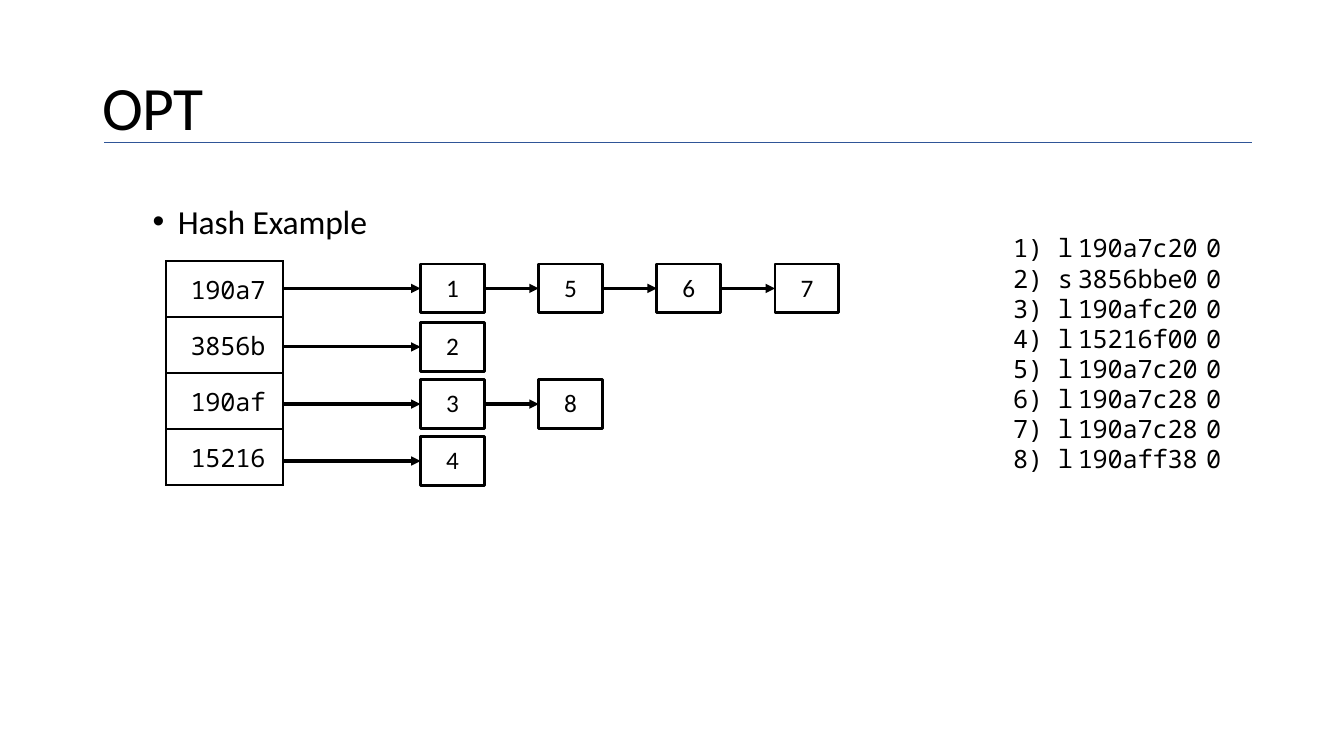
from dataclasses import dataclass
from typing import Any

from lxml.etree import SubElement as sub
from pptx import Presentation
from pptx.dml.color import RGBColor as Rgb
from pptx.enum.shapes import MSO_CONNECTOR as Link, MSO_SHAPE as Preset
from pptx.enum.text import MSO_ANCHOR as Anchor, PP_ALIGN as Align
from pptx.oxml.ns import qn
from pptx.util import Pt

COLORS = {"ink": "000000", "rule": "2F5597"}
SANS, MONO = "Calibri", "Noto Sans Mono"
NO_GRID_STYLE = "{2D5ABB26-0587-4C30-8999-92F81FD0307C}"

FRAME = {"margin_left": 0, "margin_right": 0, "margin_bottom": 0,
         "vertical_anchor": Anchor.TOP}
PLAIN_TABLE = {"first_row": False, "horz_banding": False}

NODE_LEFT, NODE_STEP = 300.4, 84.4
NODE_WIDTH, NODE_HEIGHT = 45.5, 34.8
BUCKET_LEFT, BUCKET_TOP, BUCKET_WIDTH, BUCKET_HEIGHT = 118.8, 186.4, 83.5, 40.05


@dataclass
class Bucket:
    key: str
    node_top: float
    nodes: tuple[int, ...]


@dataclass
class Access:
    kind: str
    address: str


BUCKETS = [
    Bucket("190a7", 188.6, (1, 5, 6, 7)),
    Bucket("3856b", 230.4, (2,)),
    Bucket("190af", 271.2, (3, 8)),
    Bucket("15216", 311.9, (4,)),
]
ACCESSES = [
    Access("l", "190a7c20"),
    Access("s", "3856bbe0"),
    Access("l", "190afc20"),
    Access("l", "15216f00"),
    Access("l", "190a7c20"),
    Access("l", "190a7c28"),
    Access("l", "190a7c28"),
    Access("l", "190aff38"),
]


def color(name: str) -> Rgb:
    return Rgb.from_string(COLORS[name])


def apply(target: Any, values: dict[str, Any]) -> None:
    for name, value in values.items():
        setattr(target, name, value)


def write(paragraph: Any, text: str, font: str, size: float,
          align: Align = Align.LEFT, indent: float = 0, spacing: float = -0.1) -> None:
    paragraph.alignment = align
    properties = paragraph._p.get_or_add_pPr()
    properties.set("marL", str(Pt(indent)))
    properties.set("indent", "0")
    run = paragraph.add_run()
    run.text = text
    apply(run.font, {"name": font, "size": Pt(size)})
    run.font.color.rgb = color("ink")
    run._r.get_or_add_rPr().set("spc", str(round(spacing * 100)))


def add_label(slide: Any, place: tuple[float, ...], text: str, size: float,
              indent: float, spacing: float) -> Any:
    frame = slide.shapes.add_textbox(*map(Pt, place)).text_frame
    apply(frame, FRAME | {"word_wrap": True, "margin_top": Pt(0.9)})
    write(frame.paragraphs[0], text, SANS, size, indent=indent, spacing=spacing)
    return frame.paragraphs[0]


def add_bullet(paragraph: Any) -> None:
    properties = paragraph._p.get_or_add_pPr()
    properties.set("indent", str(-Pt(18)))
    sub(properties, qn("a:buFont"), typeface="Arial")
    sub(properties, qn("a:buChar"), char="•")


def add_line(slide: Any, start: tuple[float, float], end: tuple[float, float],
             ink: str, width: float) -> Any:
    line = slide.shapes.add_connector(Link.STRAIGHT, *map(Pt, start + end))
    line.line.color.rgb = color(ink)
    line.line.width = Pt(width)
    sub(line._element.spPr, qn("a:effectLst"))
    return line


def add_grid(slide: Any, left: float, top: float, widths: list[float],
             heights: list[float]) -> Any:
    grid = slide.shapes.add_table(len(heights), len(widths), Pt(left), Pt(top),
                                  Pt(sum(widths)), Pt(sum(heights))).table
    apply(grid, PLAIN_TABLE)
    grid._tbl.tblPr.find(qn("a:tableStyleId")).text = NO_GRID_STYLE
    for column, width in zip(grid.columns, widths):
        column.width = Pt(width)
    for row, height in zip(grid.rows, heights):
        row.height = Pt(height)
    for cell in grid.iter_cells():
        apply(cell, FRAME | {"margin_top": 0})
        cell.fill.background()
    return grid


def add_borders(cell: Any, width: float) -> None:
    properties = cell._tc.get_or_add_tcPr()
    for position, side in enumerate("LRTB"):
        border = sub(properties, qn(f"a:ln{side}"), w=str(Pt(width)))
        fill = sub(border, qn("a:solidFill"))
        sub(fill, qn("a:srgbClr"), val=COLORS["ink"])
        properties.insert(position, border)


def add_access_list(slide: Any) -> None:
    heights = [20.2] + [21.45] * 6 + [19.6]
    grid = add_grid(slide, 721.4, 172.3, [46.8, 88.9, 17.6], heights)
    for index, access in enumerate(ACCESSES):
        columns = [
            (f"{index + 1}) {access.kind}", Align.LEFT, 2.2),
            (access.address, Align.CENTER, 0),
            ("0", Align.CENTER, 2.2),
        ]
        for cell, (text, align, indent) in zip(grid.rows[index].cells, columns):
            paragraph = cell.text_frame.paragraphs[0]
            paragraph.line_spacing = Pt(18.8 if index else 16.9)
            write(paragraph, text, MONO, 18, align, indent)


def add_bucket_table(slide: Any) -> None:
    grid = add_grid(slide, BUCKET_LEFT, BUCKET_TOP, [BUCKET_WIDTH],
                    [BUCKET_HEIGHT] * len(BUCKETS))
    for cell, bucket in zip(grid.iter_cells(), BUCKETS):
        cell.margin_top = Pt(8.2)
        add_borders(cell, 1.5)
        write(cell.text_frame.paragraphs[0], bucket.key, MONO, 18, indent=17.3)


def add_node(slide: Any, number: int, left: float, top: float) -> Any:
    node = slide.shapes.add_shape(Preset.RECTANGLE, Pt(left), Pt(top),
                                  Pt(NODE_WIDTH), Pt(NODE_HEIGHT))
    node.shadow.inherit = False
    node.fill.background()
    node.line.color.rgb = color("ink")
    node.line.width = Pt(2)
    apply(node.text_frame, FRAME | {"margin_top": Pt(5.8), "word_wrap": True})
    write(node.text_frame.paragraphs[0], str(number), SANS, 18, Align.CENTER, spacing=0)
    return node


def add_chain(slide: Any, bucket: Bucket) -> None:
    middle = bucket.node_top + NODE_HEIGHT / 2
    tail, previous = BUCKET_LEFT + BUCKET_WIDTH, None
    for index, number in enumerate(bucket.nodes):
        left = NODE_LEFT + index * NODE_STEP
        node = add_node(slide, number, left, bucket.node_top)
        arrow = add_line(slide, (tail, middle), (left, middle), "ink", 2.25)
        sub(arrow.line._get_or_add_ln(), qn("a:tailEnd"), type="triangle")
        if previous is not None:
            arrow.begin_connect(previous, 3)
        arrow.end_connect(node, 1)
        tail, previous = left + NODE_WIDTH, node


def main() -> None:
    deck = Presentation()
    apply(deck, {"slide_width": Pt(960), "slide_height": Pt(540)})
    slide = deck.slides.add_slide(deck.slide_layouts[6])
    add_label(slide, (72, 48.2, 650, 54.7), "OPT", 44, 0.9, -0.2)
    add_line(slide, (74.4, 101.9), (894, 101.9), "rule", 0.75)
    add_bullet(add_label(slide, (108.2, 142.6, 160, 31), "Hash Example", 24, 18.9, -0.1))
    add_access_list(slide)
    add_bucket_table(slide)
    for bucket in BUCKETS:
        add_chain(slide, bucket)
    deck.save("out.pptx")


if __name__ == "__main__":
    main()
